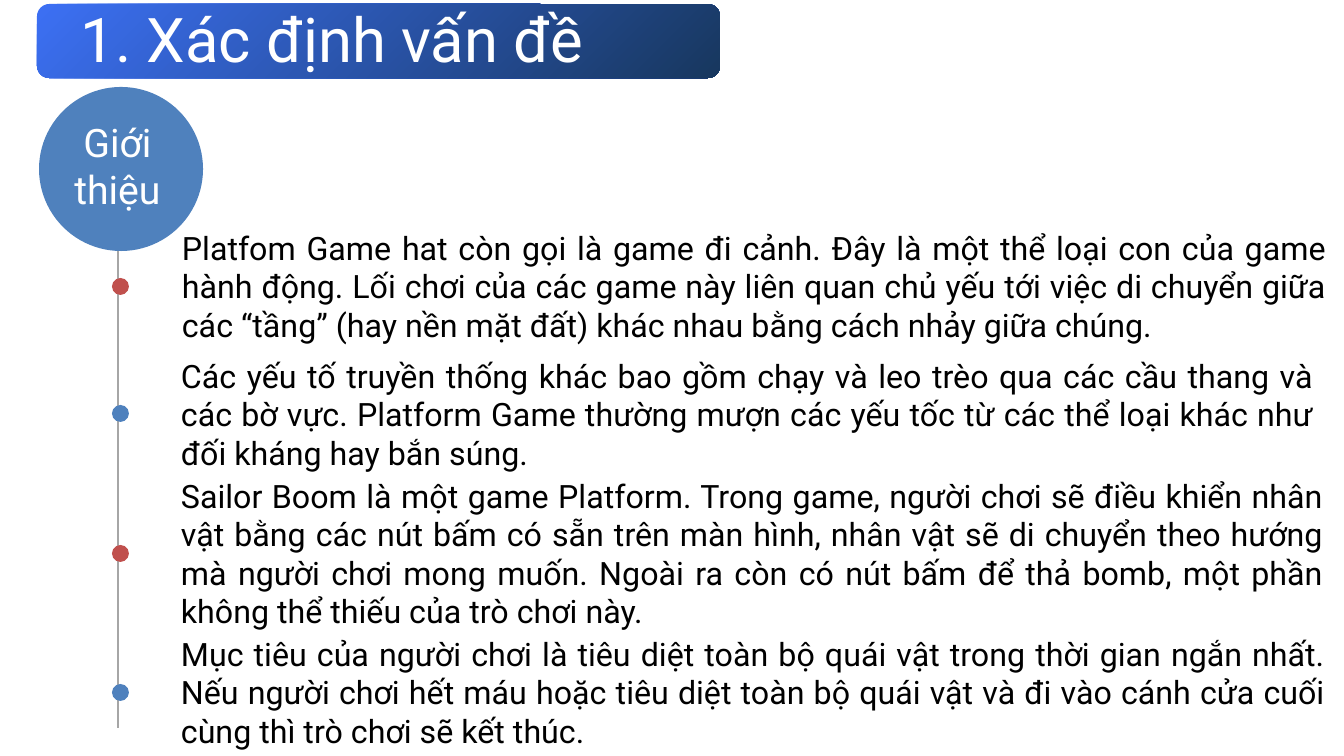
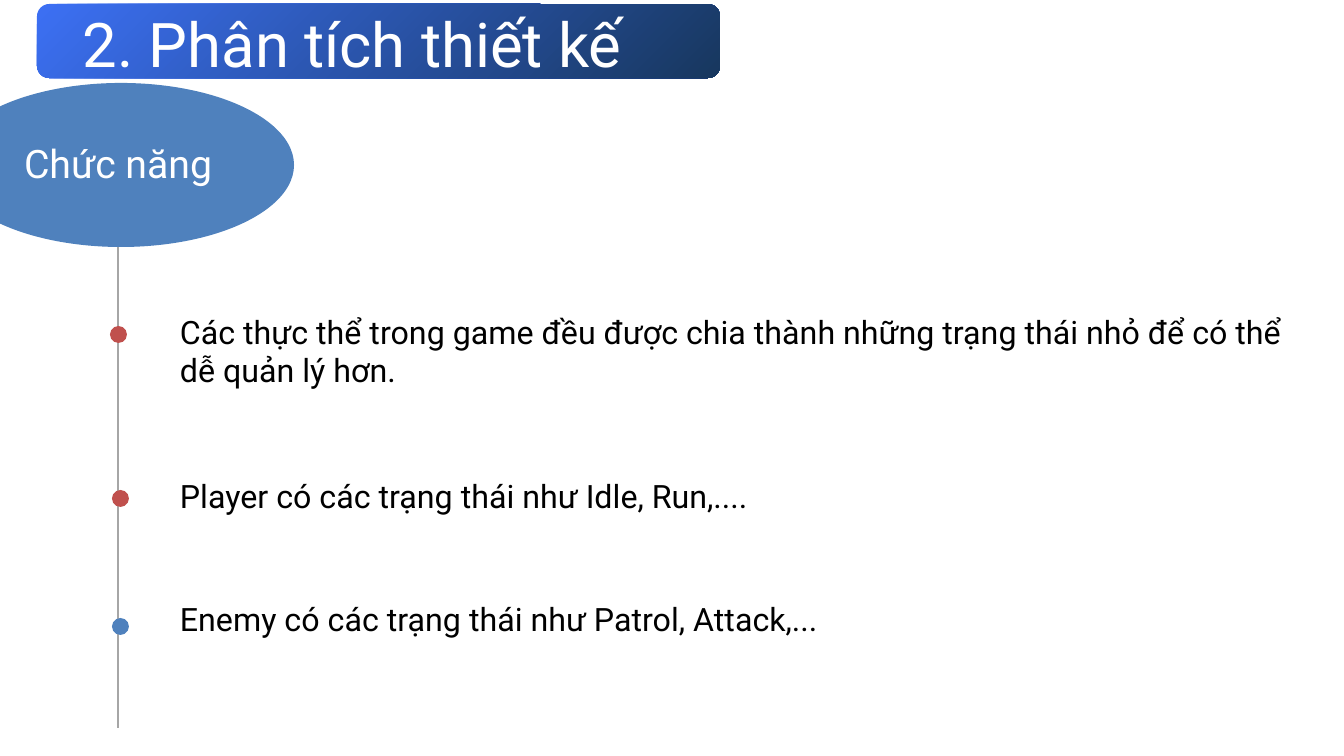
from dataclasses import dataclass

from pptx import Presentation
from pptx.dml.color import RGBColor
from pptx.enum.shapes import MSO_CONNECTOR, MSO_SHAPE
from pptx.enum.text import MSO_ANCHOR, MSO_AUTO_SIZE, PP_ALIGN
from pptx.oxml.ns import qn
from pptx.util import Emu, Pt
from lxml.etree import SubElement

# Shared style
SCALE = 914400 / 100.8
FONT = "Roboto"
WHITE = RGBColor(0xFF, 0xFF, 0xFF)
BLACK = RGBColor(0, 0, 0)
BRIGHT_BLUE = RGBColor(0x3C, 0x70, 0xF4)
NAVY = RGBColor(0x17, 0x37, 0x5E)
BLUE = RGBColor(0x4F, 0x81, 0xBD)
RED = RGBColor(0xC0, 0x50, 0x4D)
GREY = RGBColor(0xA6, 0xA6, 0xA6)
DOT_SIZE = 17


def px(length):
    return Emu(round(length * SCALE))


@dataclass
class Point:
    text: str
    box: tuple
    dot: tuple
    color: RGBColor
    align: PP_ALIGN = PP_ALIGN.JUSTIFY
    gap: int = 0


class TimelineDeck:
    def __init__(self):
        self.deck = Presentation()
        self.deck.slide_width, self.deck.slide_height = px(1344), px(756)
        self.slide = None

    def shape(self, kind, box):
        shape = self.slide.shapes.add_shape(kind, *map(px, box))
        shape.shadow.inherit = False
        shape.line.fill.background()
        return shape

    def oval(self, box, color):
        fill = self.shape(MSO_SHAPE.OVAL, box).fill
        fill.solid()
        fill.fore_color.rgb = color

    def text(self, content, box, size, color, align=PP_ALIGN.LEFT, gap=0):
        frame = self.slide.shapes.add_textbox(*map(px, box)).text_frame
        frame.word_wrap = True
        frame.auto_size = MSO_AUTO_SIZE.SHAPE_TO_FIT_TEXT
        frame.text = content
        paragraph = frame.paragraphs[0]
        paragraph.alignment = align
        paragraph.space_before = paragraph.space_after = Pt(gap)
        font = paragraph.runs[0].font
        font.name, font.size, font.color.rgb = FONT, Pt(size), color
        return frame

    def title(self, content, left, top):
        fill = self.shape(MSO_SHAPE.FLOWCHART_ALTERNATE_PROCESS, (37, 4, 683, 74)).fill
        fill.gradient()
        fill.gradient_angle = 315
        for stop, color, position in zip(fill.gradient_stops, (BRIGHT_BLUE, NAVY), (0, 1)):
            stop.color.rgb = color
            stop.position = position
        frame = self.text(content, (left, top, 906, 71), 44, WHITE)
        frame.auto_size = MSO_AUTO_SIZE.NONE
        frame.vertical_anchor = MSO_ANCHOR.MIDDLE
        frame.paragraphs[0].line_spacing = 0.9

    def axis(self):
        line = self.slide.shapes.add_connector(
            MSO_CONNECTOR.STRAIGHT, px(118), px(127), px(118), px(728))
        line.line.color.rgb = GREY
        line.line.width = Pt(1.5)
        SubElement(line._element.spPr, qn("a:effectLst"))

    def timeline(self, title, title_at, topic, topic_box, disc, points):
        self.slide = self.deck.slides.add_slide(self.deck.slide_layouts[6])
        self.title(title, *title_at)
        self.axis()
        self.oval(disc, BLUE)
        for point in points:
            self.oval((*point.dot, DOT_SIZE, DOT_SIZE), point.color)
            self.text(point.text, point.box, 23, BLACK, point.align, point.gap)
        self.text(topic, topic_box, 28, WHITE, PP_ALIGN.CENTER)


talk = TimelineDeck()

# Introduction
talk.timeline(
    "1. Xác định vấn đề", (71, 7),
    "Giới thiệu", (59, 113, 117, 105), (39, 87, 164, 164),
    [
        Point("Platfom Game hat còn gọi là game đi cảnh. Đây là một thể loại con của "
              "game hành động. Lối chơi của các game này liên quan chủ yếu tới việc di "
              "chuyển giữa các “tầng” (hay nền mặt đất) khác nhau bằng cách nhảy giữa "
              "chúng.",
              (172, 223, 1166, 127), (112, 278), RED),
        Point("Các yếu tố truyền thống khác bao gồm chạy và leo trèo qua các cầu thang "
              "và các bờ vực. Platform Game thường mượn các yếu tốc từ các thể loại "
              "khác như đối kháng hay bắn súng.",
              (171, 351, 1154, 127), (112, 405), BLUE),
        Point("Sailor Boom là một game Platform. Trong game, người chơi sẽ điều khiển "
              "nhân vật bằng các nút bấm có sẵn trên màn hình, nhân vật sẽ di chuyển "
              "theo hướng mà người chơi mong muốn. Ngoài ra còn có nút bấm để thả bomb, "
              "một phần không thể thiếu của trò chơi này.",
              (171, 471, 1164, 166), (112, 545), RED),
        Point("Mục tiêu của người chơi là tiêu diệt toàn bộ quái vật trong thời gian "
              "ngắn nhất. Nếu người chơi hết máu hoặc tiêu diệt toàn bộ quái vật và đi "
              "vào cánh cửa cuối cùng thì trò chơi sẽ kết thúc.",
              (171, 629, 1166, 127), (112, 684), BLUE, gap=6),
    ])

# Functions
talk.timeline(
    "2. Phân tích thiết kế", (73, 12),
    "Chức năng", (8, 134, 220, 57), (-52, 83, 346, 164),
    [
        Point("Các thực thể trong game đều được chia thành những trạng thái nhỏ để có "
              "thể dễ quản lý hơn.",
              (170, 307, 1166, 89), (110, 326), RED, PP_ALIGN.LEFT),
        Point("Player có các trạng thái như Idle, Run,....",
              (170, 471, 1166, 49), (112, 490), RED, gap=6),
        Point("Enemy có các trạng thái như Patrol, Attack,...",
              (170, 594, 1174, 49), (112, 618), BLUE, gap=6),
    ])

talk.deck.save("out.pptx")
